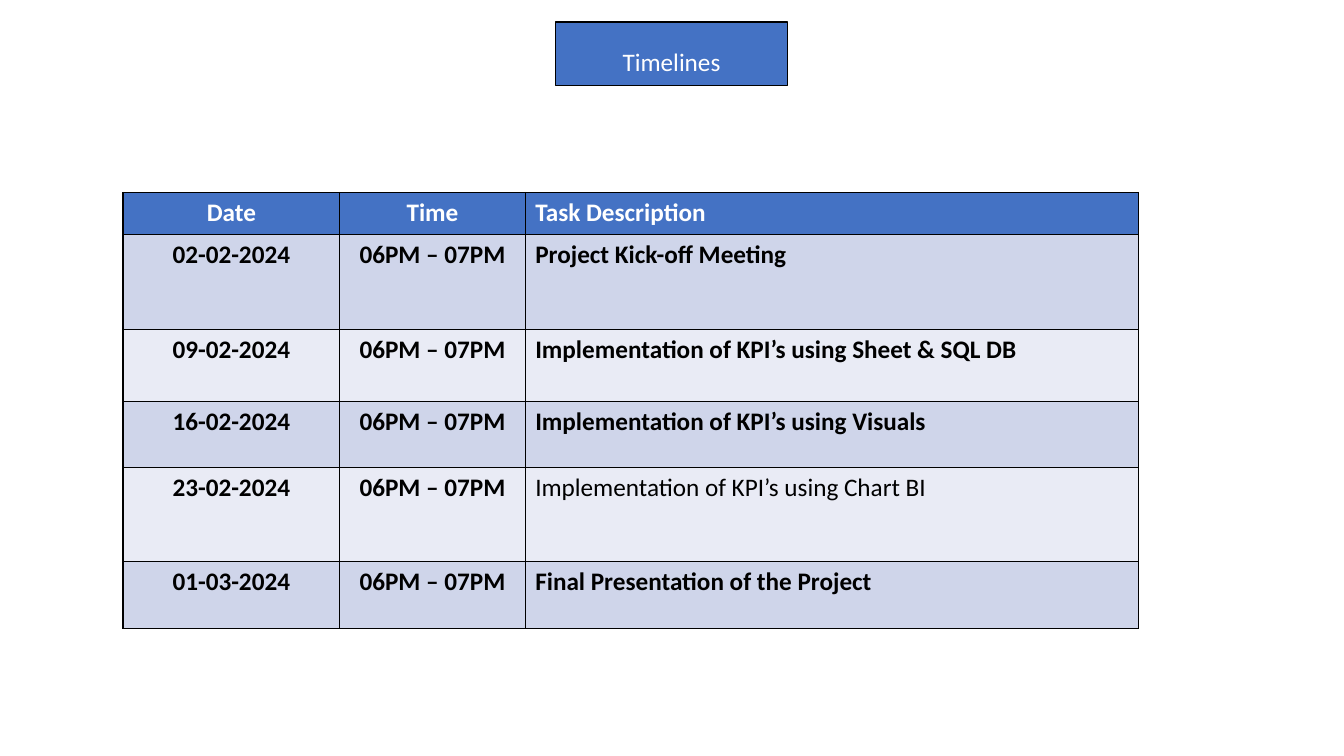
from pptx import Presentation
from pptx.dml.color import RGBColor
from pptx.enum.text import MSO_ANCHOR, MSO_AUTO_SIZE, PP_ALIGN
from pptx.oxml import parse_xml
from pptx.oxml.ns import nsdecls
from pptx.util import Inches, Pt

BLUE = RGBColor(0x44, 0x72, 0xC4)
DARK = RGBColor(0xCF, 0xD5, 0xEA)
LIGHT = RGBColor(0xE9, 0xEB, 0xF5)
BLACK = RGBColor(0, 0, 0)
WHITE = RGBColor(0xFF, 0xFF, 0xFF)

HOURS = "06PM – 07PM"
HEAD = ("Date", "Time", "Task Description")
TASKS = (
    ("02-02-2024", "Project Kick-off Meeting"),
    ("09-02-2024", "Implementation of KPI’s using Sheet & SQL DB"),
    ("16-02-2024", "Implementation of KPI’s using Visuals"),
    ("23-02-2024", "Implementation of KPI’s using Chart BI"),
    ("01-03-2024", "Final Presentation of the Project"),
)
PLAIN = (4, 2)  # row and column of the only cell that is not bold

# Shares of the slide's width and height, in percent
COLS = (16.13, 13.8, 45.61)
ROWS = (5.6, 12.53, 9.47, 8.8, 12.4, 8.93)


class Deck:
    font, size, line = "Calibri", Pt(18), Pt(1)

    def __init__(self):
        self.prs = Presentation()
        self.prs.slide_width = Inches(13.33)
        self.prs.slide_height = Inches(7.5)
        self.slide = self.prs.slides.add_slide(self.prs.slide_layouts[5])

    def wide(self, share):
        return round(self.prs.slide_width * share / 100)

    def high(self, share):
        return round(self.prs.slide_height * share / 100)

    def label(self, frame, text, color, bold=False, align=PP_ALIGN.CENTER):
        frame.text = text
        para = frame.paragraphs[0]
        para.alignment = align
        font = para.runs[0].font
        font.name, font.size, font.bold = self.font, self.size, bold
        font.color.rgb = color
        return para

    def title(self, text, left, top, width, height):
        box = self.slide.shapes.title
        box.left, box.top = self.wide(left), self.high(top)
        box.width, box.height = self.wide(width), self.high(height)
        box.fill.solid()
        box.fill.fore_color.rgb = BLUE
        box.line.color.rgb = BLACK
        box.line.width = self.line
        frame = box.text_frame
        frame.auto_size = MSO_AUTO_SIZE.NONE
        frame.vertical_anchor = MSO_ANCHOR.MIDDLE
        self.label(frame, text, WHITE).line_spacing = 1.5

    def cell(self, cell, fill):
        # Borders come before the fill in the cell properties
        props = cell._tc.get_or_add_tcPr()
        for side in "LRTB":
            props.append(parse_xml(
                f'<a:ln{side} {nsdecls("a")} w="{self.line}"><a:solidFill>'
                f'<a:srgbClr val="{BLACK}"/></a:solidFill></a:ln{side}>'))
        cell.fill.solid()
        cell.fill.fore_color.rgb = fill

    def table(self, data, left, top):
        grid = self.slide.shapes.add_table(
            len(data), len(COLS), self.wide(left), self.high(top),
            self.wide(sum(COLS)), self.high(sum(ROWS))).table
        for col, share in zip(grid.columns, COLS):
            col.width = self.wide(share)
        for row, share in zip(grid.rows, ROWS):
            row.height = self.high(share)
        for r, texts in enumerate(data):
            fill = BLUE if r == 0 else DARK if r % 2 else LIGHT
            color = WHITE if r == 0 else BLACK
            for c, text in enumerate(texts):
                cell = grid.cell(r, c)
                self.cell(cell, fill)
                align = PP_ALIGN.LEFT if c == 2 else PP_ALIGN.CENTER
                self.label(cell.text_frame, text, color, (r, c) != PLAIN, align)


def main():
    deck = Deck()
    # Heading box
    deck.title("Timelines", 41.34, 2.93, 17.25, 8.4)
    # Schedule
    rows = [HEAD] + [(date, HOURS, task) for date, task in TASKS]
    deck.table(rows, 9.15, 25.47)
    deck.prs.save("out.pptx")


if __name__ == "__main__":
    main()
